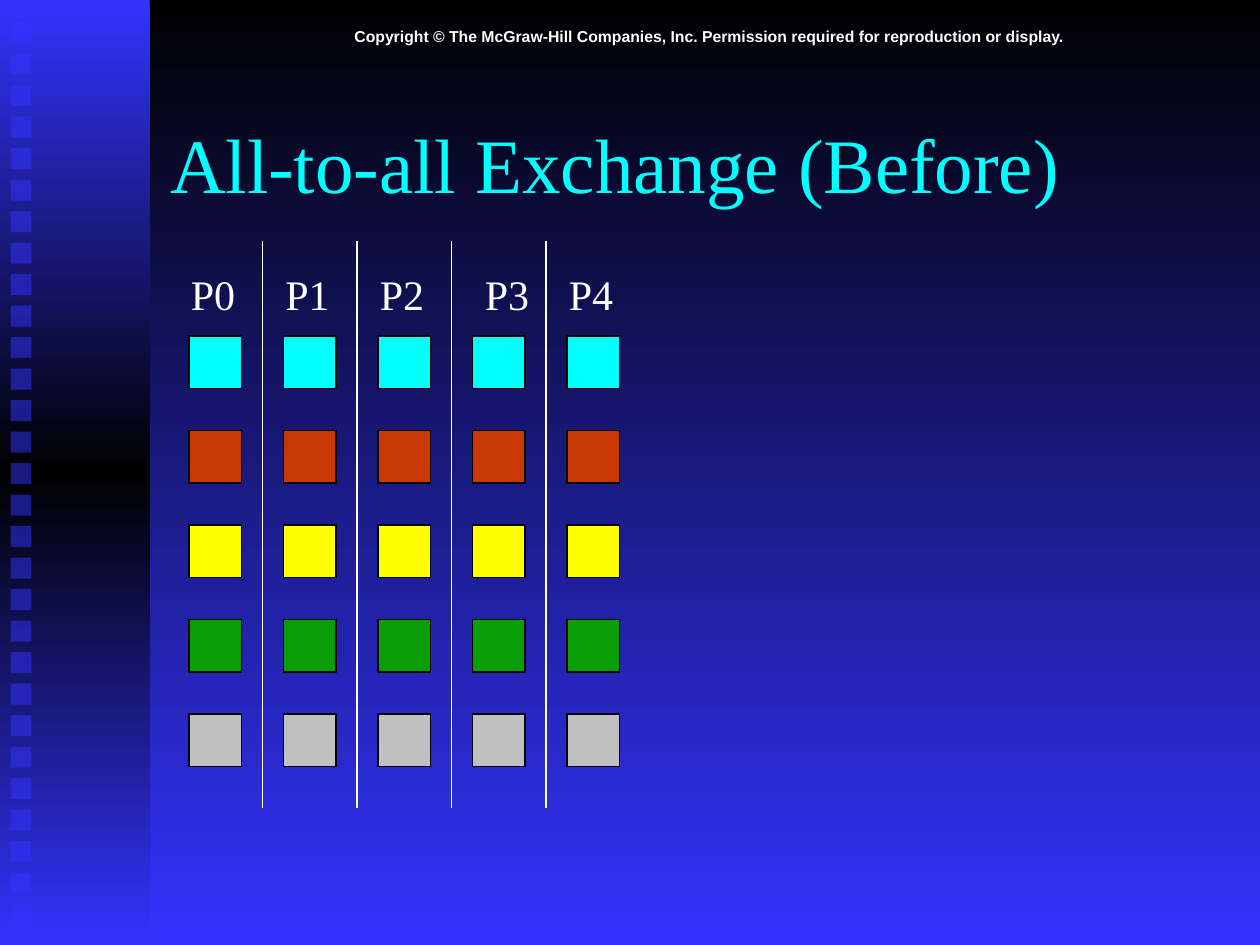
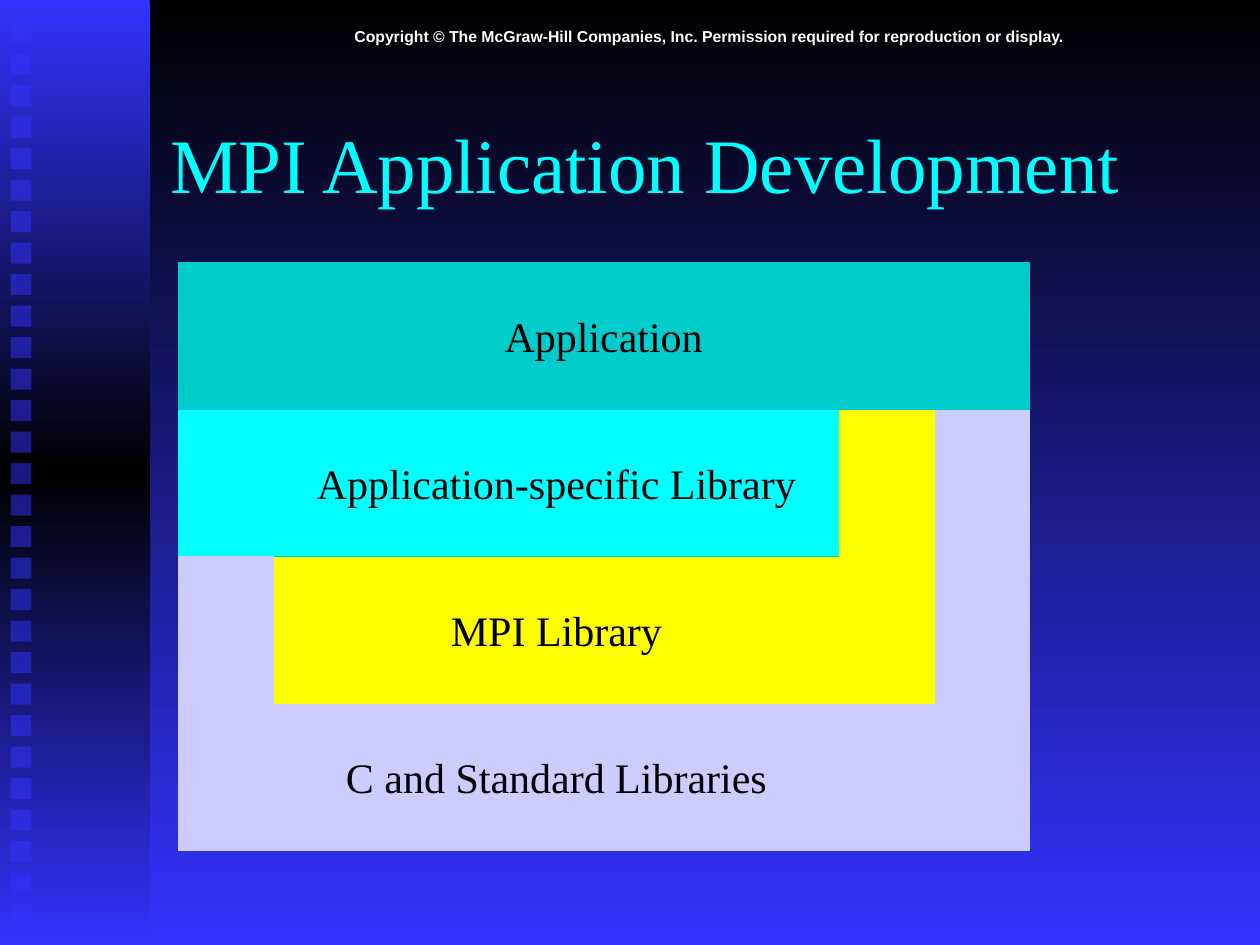
from copy import deepcopy

from lxml.etree import SubElement
from pptx import Presentation
from pptx.dml.color import RGBColor
from pptx.enum.shapes import MSO_CONNECTOR, MSO_SHAPE
from pptx.enum.text import MSO_ANCHOR, MSO_AUTO_SIZE, PP_ALIGN
from pptx.oxml.ns import qn
from pptx.util import Cm, Pt

COLOURS = {
    "black": "000000",
    "white": "FFFFFF",
    "blue": "3333FF",
    "cyan": "00FFFF",
    "teal": "00CCCC",
    "rust": "C93703",
    "yellow": "FFFF00",
    "green": "0A9E06",
    "grey": "C0C0C0",
    "lilac": "CCCCFF",
}
SERIF = "Times New Roman"
SANS = "Arial"
COPYRIGHT = ("Copyright © The McGraw-Hill Companies, Inc. "
             "Permission required for reproduction or display.")


def grid(units):
    """Length of a number of grid units, twelve to the inch."""
    return Cm(units * 2.54 / 12)


def colour(name):
    return RGBColor.from_string(COLOURS[name])


def fill_gradient(fill, names):
    """Fill from top to bottom with evenly spaced colours."""
    fill.gradient()
    fill.gradient_angle = 270
    first_stop = fill.gradient_stops[0]._gs
    for _ in names[2:]:
        first_stop.addnext(deepcopy(first_stop))
    for index, (stop, name) in enumerate(zip(fill.gradient_stops, names)):
        stop.position = index / (len(names) - 1)
        stop.color.rgb = colour(name)


class SlideBuilder:
    """Holds the deck's style and the slide being drawn."""

    def __init__(self):
        self.deck = Presentation()
        self.deck.slide_width, self.deck.slide_height = grid(120), grid(90)
        self.layout = self.deck.slide_layouts[5]
        fill_gradient(self.deck.slide_master.background.fill, ["black", "blue"])
        self.page = None
        self.shapes = None

    def new_slide(self, title):
        self.page = self.deck.slides.add_slide(self.layout)
        self.shapes = self.page.shapes
        if len(self.deck.slides) == 1:
            self.shared_parts()
        box = self.page.shapes.title
        box.left, box.top, box.width, box.height = map(grid, (15, 8, 102, 15))
        self.text(box, title, 44, "cyan", PP_ALIGN.LEFT)
        box.text_frame.auto_size = MSO_AUTO_SIZE.NONE
        box.text_frame.vertical_anchor = MSO_ANCHOR.MIDDLE

    def shared_parts(self):
        """Draw the side band and copyright line, then move them to the layout."""
        band = self.rectangle(0, 0, 14.25, 90, "blue")
        fill_gradient(band.fill, ["blue", "black", "blue"])
        parts = [band]
        for row in range(29):
            square = self.rectangle(1, 2.1 + 3 * row, 2, 2, "blue")
            self.transparency(square, 50)
            parts.append(square)
        parts.append(self.label(15, 2, 105, 3, COPYRIGHT, 9, PP_ALIGN.CENTER,
                                font=SANS, bold=True))
        for index, part in enumerate(parts):
            part.element.nvSpPr.cNvPr.id = 100 + index
            self.layout.shapes.element.insert(2 + index, part.element)

    def start_group(self):
        self.shapes = self.page.shapes.add_group_shape().shapes

    def text(self, box, words, size, name, alignment, font=SERIF, bold=False):
        para = box.text_frame.paragraphs[0]
        para.text = words
        para.alignment = alignment
        span = para.runs[0].font
        span.name, span.size, span.bold = font, Pt(size), bold
        span.color.rgb = colour(name)

    def label(self, left, top, width, height, words, size,
              alignment=PP_ALIGN.LEFT, **style):
        box = self.shapes.add_textbox(*map(grid, (left, top, width, height)))
        box.text_frame.word_wrap = alignment == PP_ALIGN.CENTER
        box.text_frame.auto_size = MSO_AUTO_SIZE.SHAPE_TO_FIT_TEXT
        self.text(box, words, size, "white", alignment, **style)
        return box

    def rectangle(self, left, top, width, height, fill, line=None, words=None):
        box = self.shapes.add_shape(
            MSO_SHAPE.RECTANGLE, *map(grid, (left, top, width, height)))
        box.shadow.inherit = False
        box.fill.solid()
        box.fill.fore_color.rgb = colour(fill)
        if line:
            box.line.color.rgb = colour(line)
            box.line.width = Pt(0.75)
        else:
            box.line.fill.background()
        if words:
            box.text_frame.word_wrap = False
            box.text_frame.vertical_anchor = MSO_ANCHOR.MIDDLE
            self.text(box, words, 24, "black", PP_ALIGN.CENTER)
        return box

    def transparency(self, box, percent):
        tint = box.element.spPr.find(qn("a:solidFill")).find(qn("a:srgbClr"))
        SubElement(tint, qn("a:alpha"), val=str((100 - percent) * 1000))

    def vertical_line(self, left, top, bottom):
        line = self.shapes.add_connector(
            MSO_CONNECTOR.STRAIGHT, *map(grid, (left, top, left, bottom)))
        line.line.color.rgb = colour("white")
        line.line.width = Pt(0.75)
        SubElement(line.element.spPr, qn("a:effectLst"))


def exchange_slide(builder):
    builder.new_slide("All-to-all Exchange (Before)")
    # One row of data items per colour, one column per process
    step = 9
    for row, fill in enumerate(["cyan", "rust", "yellow", "green", "grey"]):
        for column in range(5):
            builder.rectangle(18 + step * column, 32 + step * row, 5, 5,
                              fill, "black")
    # Process names
    for process, left in enumerate([17, 26, 35, 45, 53]):
        builder.label(left, 25, 6.6, 6, f"P{process}", 24)
    # Dividers between processes
    for column in range(4):
        builder.vertical_line(25 + step * column, 23, 77)


def development_slide(builder):
    builder.new_slide("MPI Application Development")
    # Software layers, each one row high, with arms reaching the application
    row = 14
    application, specific, mpi, standard = (25 + row * n for n in range(4))
    layers = [
        (80, specific, 18, 3 * row, "lilac", "lilac", None),
        (26, standard, 54, row, "lilac", "lilac", "C and Standard Libraries"),
        (26, mpi, 54, row, "yellow", "yellow", "MPI Library"),
        (26, specific, 54, row, "cyan", "teal", "Application-specific Library"),
        (17, specific, 9, row, "cyan", "cyan", None),
        (17, mpi, 9, 2 * row, "lilac", "lilac", None),
        (80, specific, 9, 2 * row, "yellow", "yellow", None),
        (17, application, 81, row, "teal", "teal", "Application"),
    ]
    builder.start_group()
    for layer in layers:
        builder.rectangle(*layer)


def main():
    builder = SlideBuilder()
    exchange_slide(builder)
    development_slide(builder)
    builder.deck.save("out.pptx")


if __name__ == "__main__":
    main()
